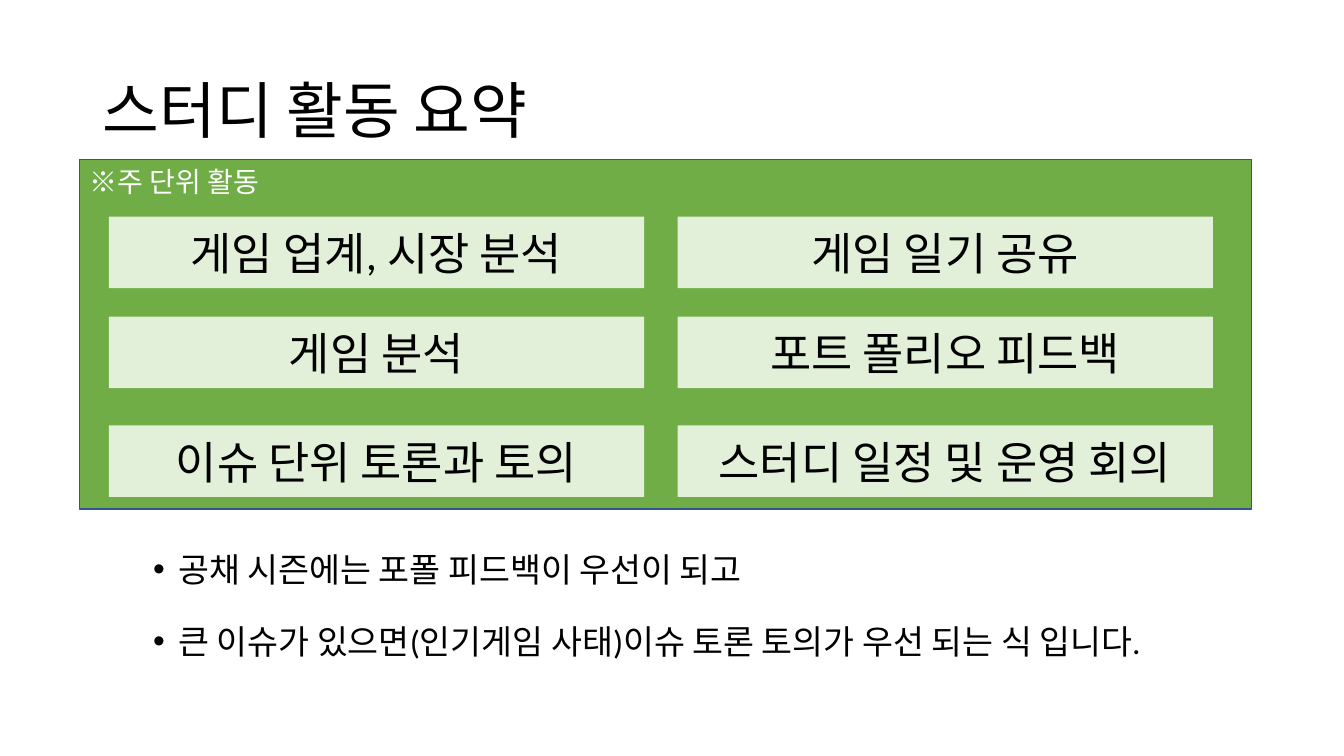
from lxml import etree
from pptx import Presentation
from pptx import util as u
from pptx.dml.color import RGBColor
from pptx.enum import shapes, text
from pptx.oxml import ns

TITLE = "스터디 활동 요약"
PANEL_LABEL = "※주 단위 활동"
ACTIVITY_ROWS = [
    ("게임 업계, 시장 분석", "게임 일기 공유"),
    ("게임 분석", "포트 폴리오 피드백"),
    ("이슈 단위 토론과 토의", "스터디 일정 및 운영 회의"),
]
REMARKS = [
    "공채 시즌에는 포폴 피드백이 우선이 되고",
    "큰 이슈가 있으면(인기게임 사태)이슈 토론 토의가 우선 되는 식 입니다.",
]

FONT = "Calibri"
BLACK, WHITE = "000000", "FFFFFF"
GREEN, PALE_GREEN, BLUE = "70AD47", "E2F0D9", "325491"

PX = 9144  # EMU in one px, 100 px to the inch
SLIDE_SIZE = (1333, 750)
TITLE_BOX = (92, 40, 1150, 145)
PANEL_BOX = (79, 158, 1162, 347)
REMARKS_BOX = (92, 516, 1150, 217)
COLUMN_LEFTS = (108, 672)
ROW_TOPS = (215, 314, 422)
CARD_SIZE = (531, 71)
REMARK_INDENT, BULLET_HANG = 75, 25


def px(*lengths):
    return [u.Emu(length * PX) for length in lengths]


def color(value):
    return RGBColor.from_string(value)


def style(paragraph, size, ink, align=text.PP_ALIGN.LEFT):
    paragraph.alignment = align
    paragraph.font.name = FONT
    paragraph.font.size = u.Pt(size)
    paragraph.font.color.rgb = color(ink)


def add_box(box, fill, words, size, ink, align, anchor, outline=None):
    rect = slide.shapes.add_shape(shapes.MSO_SHAPE.RECTANGLE, *px(*box))
    rect.shadow.inherit = False
    rect.fill.solid()
    rect.fill.fore_color.rgb = color(fill)
    if outline:
        rect.line.color.rgb = color(outline)
        rect.line.width = u.Pt(1)
    else:
        rect.line.fill.background()
    frame = rect.text_frame
    frame.word_wrap = True
    frame.vertical_anchor = anchor
    frame.text = words
    style(frame.paragraphs[0], size, ink, align)


def add_bullet(paragraph):
    """Give the paragraph a round bullet with a hanging indent."""
    properties = paragraph._p.get_or_add_pPr()
    indent, hang = px(REMARK_INDENT, BULLET_HANG)
    properties.set("marL", str(indent))
    properties.set("indent", str(-hang))
    etree.SubElement(properties, ns.qn("a:buFont"), typeface="Arial")
    etree.SubElement(properties, ns.qn("a:buChar"), char="•")


deck = Presentation()
deck.slide_width, deck.slide_height = px(*SLIDE_SIZE)
slide = deck.slides.add_slide(deck.slide_layouts.get_by_name("Title Only"))

title = slide.shapes.title
title.left, title.top, title.width, title.height = px(*TITLE_BOX)
title.text_frame.text = TITLE
title.text_frame.auto_size = text.MSO_AUTO_SIZE.NONE
title.text_frame.vertical_anchor = text.MSO_ANCHOR.MIDDLE
heading = title.text_frame.paragraphs[0]
heading.line_spacing = 0.9
style(heading, 44, BLACK)

remarks = slide.shapes.add_textbox(*px(*REMARKS_BOX)).text_frame
remarks.word_wrap = True
remarks.text = "\n".join(REMARKS)
for remark in remarks.paragraphs:
    remark.line_spacing = 1.6
    remark.space_before = u.Pt(5)
    style(remark, 24, BLACK)
    add_bullet(remark)

add_box(PANEL_BOX, GREEN, PANEL_LABEL, 20, WHITE,
        text.PP_ALIGN.LEFT, text.MSO_ANCHOR.TOP, BLUE)
for top, activities in zip(ROW_TOPS, ACTIVITY_ROWS):
    for left, activity in zip(COLUMN_LEFTS, activities):
        add_box((left, top, *CARD_SIZE), PALE_GREEN, activity, 32, BLACK,
                text.PP_ALIGN.CENTER, text.MSO_ANCHOR.MIDDLE)

deck.save("out.pptx")
